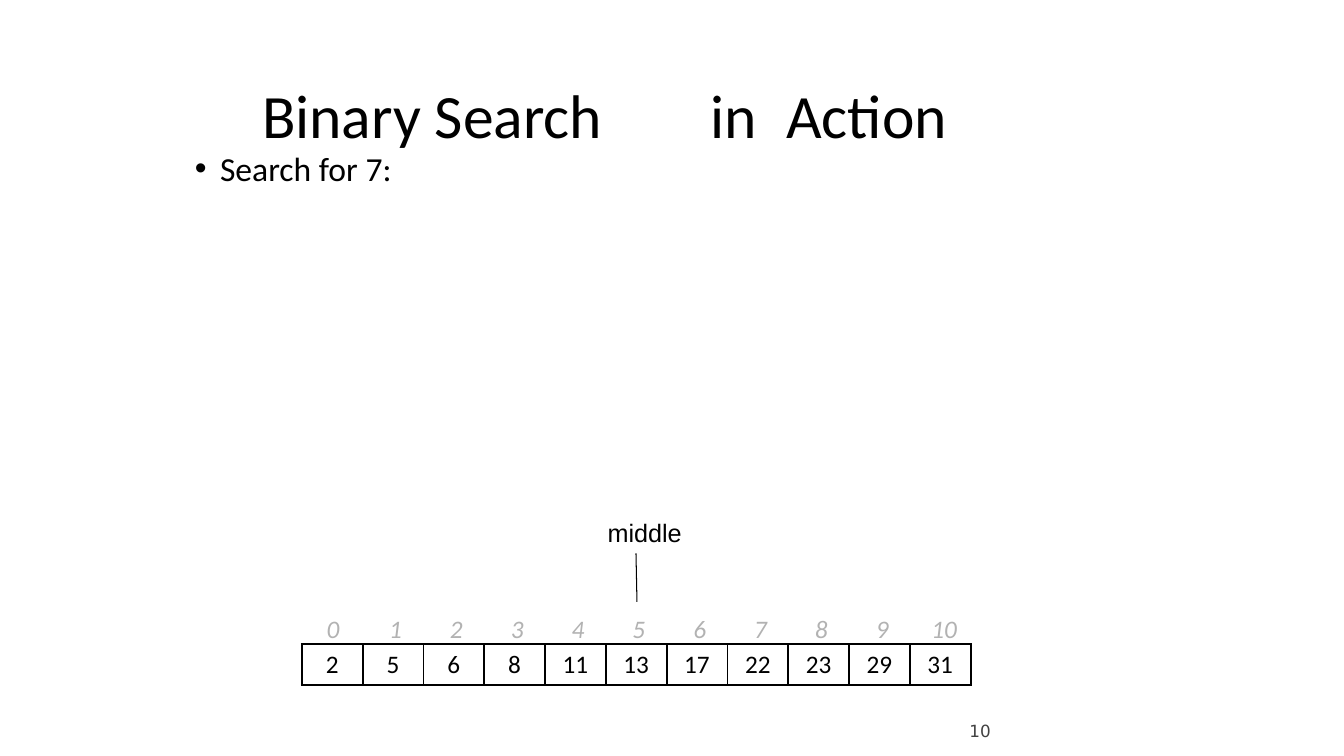
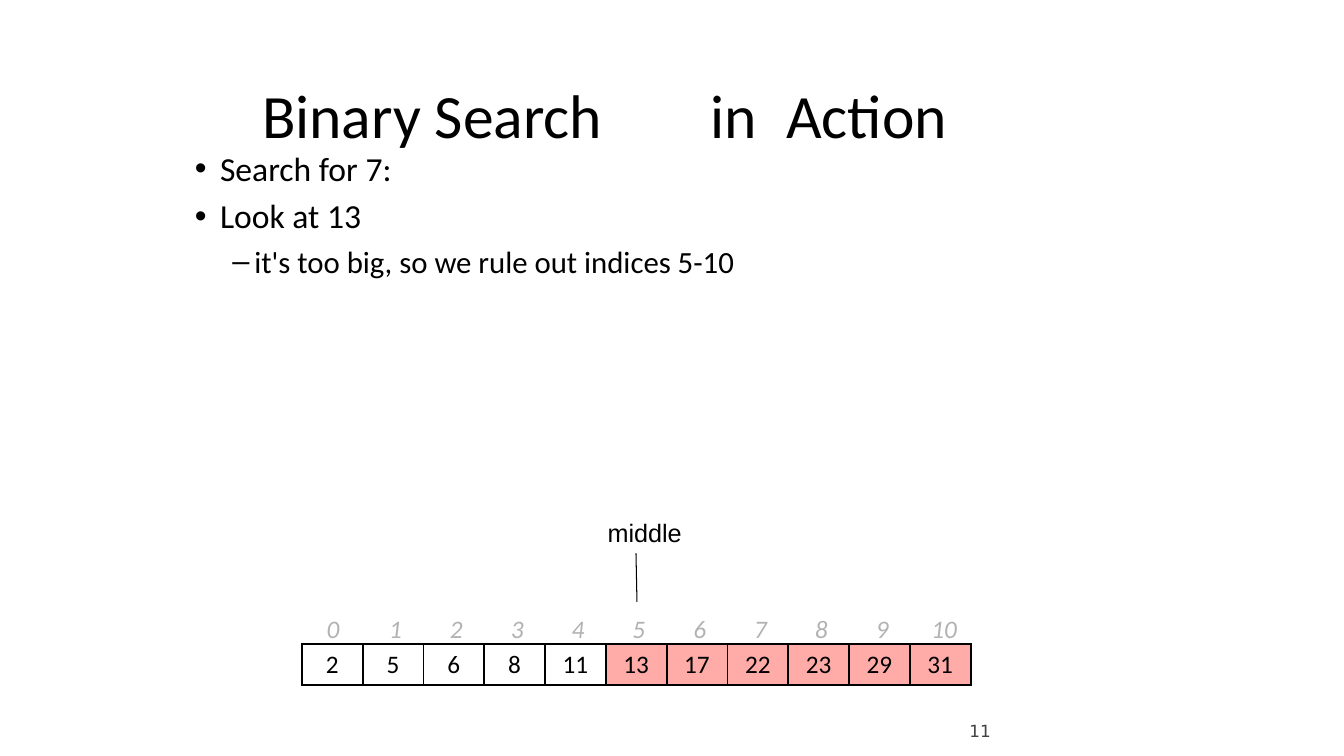
from dataclasses import dataclass

from lxml import etree
from pptx import Presentation
from pptx.dml.color import RGBColor
from pptx.enum.shapes import MSO_CONNECTOR
from pptx.enum.text import MSO_ANCHOR, PP_ALIGN
from pptx.oxml.ns import qn
from pptx.util import Pt

LEFT, CENTER = PP_ALIGN.LEFT, PP_ALIGN.CENTER
TOP, MIDDLE = MSO_ANCHOR.TOP, MSO_ANCHOR.MIDDLE
STRAIGHT = MSO_CONNECTOR.STRAIGHT


@dataclass(frozen=True)
class Theme:
    """Colours, fonts and type sizes shared by the slides."""

    ink: str = "000000"
    pale: str = "B2B2B2"
    gray: str = "424242"
    out: str = "FFACA9"
    main: str = "Calibri"
    label: str = "Arial"
    number: str = "DejaVu Sans"
    title: float = 44
    item: float = 24
    sub: float = 22
    cell: float = 18
    foot: float = 12


THEME = Theme()
TITLE = "Binary Search\tin\tAction"
VALUES = [2, 5, 6, 8, 11, 13, 17, 22, 23, 29, 31]
MID = 5
PITCH = 43.45
GRID = (215.6, 460.2, PITCH * len(VALUES), 29)
LEVELS = [("•", 19, -18, THEME.item), ("–", 43.5, -15.8, THEME.sub)]
SLIDES = [
    (10, [("Search for 7:", 0)], len(VALUES)),
    (11, [("Search for 7:", 0), ("Look at 13", 0),
          ("it's too big, so we rule out indices 5-10", 1)], MID),
]


def place(shape, box):
    """Set the position and size of a shape."""
    shape.left, shape.top, shape.width, shape.height = map(Pt, box)


def frame(shape, anchor=TOP):
    """Return the text frame of a shape, without margins."""
    text = shape.text_frame
    text.margin_left = text.margin_right = text.margin_bottom = 0
    text.margin_top = Pt(0.7)
    text.vertical_anchor = anchor
    text.word_wrap = True
    return text


def style(para, size, font=THEME.main, color=THEME.ink, align=LEFT, before=0):
    """Format a paragraph and its runs."""
    para.alignment = align
    para.space_before = Pt(before)
    for run in para.runs:
        run.font.size = Pt(size)
        run.font.name = font
        run.font.color.rgb = RGBColor.from_string(color)


def indent(para, **sides):
    """Set only the given indents, since a first-line one cancels tab stops."""
    props = para._p.get_or_add_pPr()
    for key, value in sides.items():
        props.set(key, str(int(Pt(value))))


def bullet(para, mark):
    """Give a paragraph a bullet mark."""
    props = para._p.get_or_add_pPr()
    etree.SubElement(props, qn("a:buFont"), typeface=THEME.label)
    etree.SubElement(props, qn("a:buChar"), char=mark)


def tabs(para, stops):
    """Give a paragraph left tab stops."""
    stop_list = etree.SubElement(para._p.get_or_add_pPr(), qn("a:tabLst"))
    for stop in stops:
        etree.SubElement(stop_list, qn("a:tab"), pos=str(int(Pt(stop))), algn="l")


def add_title(slide):
    """Fill the title placeholder."""
    shape = slide.shapes.title
    place(shape, (185.8, 54, 774, 54))
    text = frame(shape, MIDDLE)
    text.text = TITLE
    para = text.paragraphs[0]
    style(para, THEME.title)
    indent(para, marL=1.4)
    tabs(para, (320.4, 374.4))


def add_list(slide, items):
    """Fill the body placeholder with bulleted items."""
    shape = slide.placeholders[1]
    place(shape, (138.2, 105, 390, 34 * len(items)))
    text = frame(shape)
    text.text = "\n".join(words for words, _ in items)
    for para, (_, level) in zip(text.paragraphs, items):
        mark, left, first, size = LEVELS[level]
        para.level = level
        style(para, size, before=5)
        indent(para, marL=left, indent=first)
        bullet(para, mark)


def edge(cell):
    """Draw the four borders of a cell."""
    props = cell._tc.get_or_add_tcPr()
    for spot, side in enumerate(("lnL", "lnR", "lnT", "lnB")):
        line = etree.Element(qn("a:" + side), w=str(int(Pt(1.5))))
        fill = etree.SubElement(line, qn("a:solidFill"))
        etree.SubElement(fill, qn("a:srgbClr"), val=THEME.ink)
        props.insert(spot, line)


def add_array(slide, cut):
    """Draw the array, with the values from index cut on ruled out."""
    table = slide.shapes.add_table(1, len(VALUES), *map(Pt, GRID)).table
    table.first_row = table.horz_banding = False
    for index, value in enumerate(VALUES):
        table.columns[index].width = Pt(PITCH)
        cell = table.cell(0, index)
        cell.margin_left = cell.margin_right = 0
        cell.margin_top = cell.margin_bottom = 0
        cell.vertical_anchor = MIDDLE
        cell.text = str(value)
        style(cell.text_frame.paragraphs[0], THEME.cell, align=CENTER)
        if index >= cut:
            cell.fill.solid()
            cell.fill.fore_color.rgb = RGBColor.from_string(THEME.out)
        else:
            cell.fill.background()
        edge(cell)


def add_labels(slide):
    """Write the middle label above the row of indices."""
    shape = slide.shapes.add_textbox(*map(Pt, (232.6, 368.6, 460.8, 91.4)))
    text = frame(shape)
    text.text = "middle\n" + "\t".join(map(str, range(len(VALUES))))
    label, row = text.paragraphs
    style(label, THEME.cell, THEME.label, align=CENTER)
    indent(label, marR=5)
    style(row, THEME.cell, color=THEME.pale, before=47)
    row.runs[0].font.italic = True
    indent(row, marL=0.7)
    tabs(row, [PITCH * index + 1.2 for index in range(1, len(VALUES) - 1)])


def add_mark(slide):
    """Draw the line from the label to the middle index."""
    line = slide.shapes.add_connector(STRAIGHT, *map(Pt, (454.3, 395.3, 455, 430)))
    line.line.color.rgb = RGBColor.from_string(THEME.ink)
    line.line.width = Pt(0.75)
    etree.SubElement(line._element.spPr, qn("a:effectLst"))


def add_number(slide, number):
    """Write the slide number."""
    shape = slide.shapes.add_textbox(*map(Pt, (690.5, 513.5, 19.5, 16.5)))
    text = frame(shape, MIDDLE)
    text.text = str(number)
    style(text.paragraphs[0], THEME.foot, THEME.number, THEME.gray)
    indent(text.paragraphs[0], marL=2)


def main():
    """Build and save the slides."""
    deck = Presentation()
    deck.slide_width, deck.slide_height = Pt(960), Pt(540)
    for number, items, cut in SLIDES:
        slide = deck.slides.add_slide(deck.slide_layouts[1])
        add_title(slide)
        add_list(slide, items)
        add_array(slide, cut)
        add_labels(slide)
        add_mark(slide)
        add_number(slide, number)
    deck.save("out.pptx")


if __name__ == "__main__":
    main()
